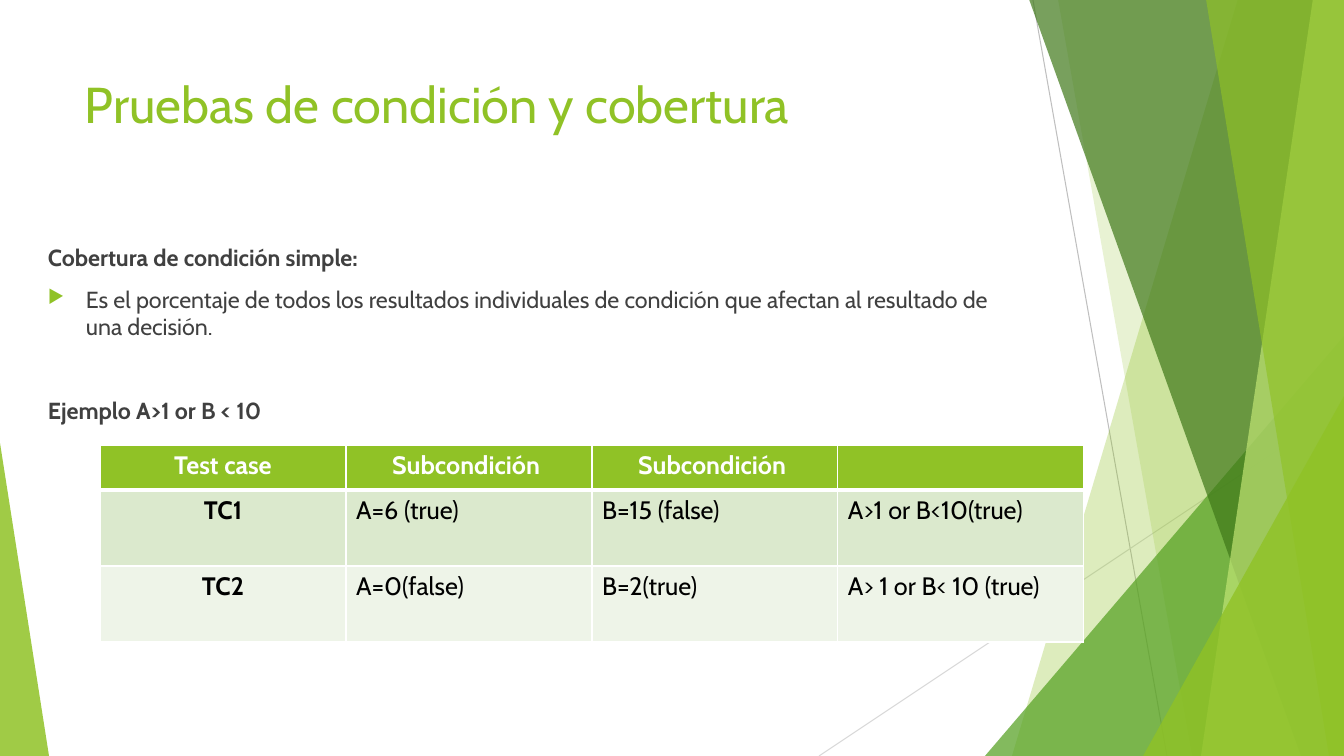
import functools

import pptx
import pptx.dml.color
import pptx.enum.shapes
import pptx.enum.text
import pptx.oxml
import pptx.oxml.ns
import pptx.util

RGB = pptx.dml.color.RGBColor
LIME = RGB(0x90, 0xC2, 0x26)
LEAF = RGB(0x54, 0xA0, 0x21)
PINE = RGB(0x3F, 0x78, 0x19)
PALE = RGB(0xC0, 0xE4, 0x74)
MINT = RGB(0xDB, 0xE9, 0xCD)
MIST = RGB(0xEE, 0xF4, 0xE8)
GRAY = RGB(0xBF, 0xBF, 0xBF)
SILVER = RGB(0xD9, 0xD9, 0xD9)
DARK = RGB(0x40, 0x40, 0x40)
BLACK = RGB(0, 0, 0)
WHITE = RGB(0xFF, 0xFF, 0xFF)

SCALE = 914400 / 100.8
WIDE, HIGH = 1344, 756
FONT = "Cabin"
CENTER = pptx.enum.text.PP_ALIGN.CENTER
LEFT = pptx.enum.text.PP_ALIGN.LEFT
Pt = pptx.util.Pt

ROWS = [
    ["Test case", "Subcondición ", "Subcondición ", ""],
    ["TC1", "A=6 (true)", "B=15 (false)", "A>1 or B<10(true)"],
    ["TC2", "A=0(false)", "B=2(true)", "A> 1 or B< 10 (true)"],
]


def px(*nums):
    return [pptx.util.Emu(round(n * SCALE)) for n in nums]


def put(item, vals):
    """Set each value; a dotted key reaches into nested objects."""
    for key, val in vals.items():
        *steps, last = key.split(".")
        setattr(functools.reduce(getattr, steps, item), last, val)


def xml(text):
    tag, rest = text.split(" ", 1)
    return pptx.oxml.parse_xml(f"{tag} {pptx.oxml.ns.nsdecls('a')} {rest}")


def paint(shape, color, alpha):
    shape.fill.solid()
    put(shape, {"fill.fore_color.rgb": color, "shadow.inherit": False})
    shape.line.fill.background()
    tint = shape.fill._xPr.find(".//" + pptx.oxml.ns.qn("a:srgbClr"))
    tint.append(xml(f'<a:alpha val="{alpha * 1000}"/>'))


def rule(slide, ends, color):
    kind = pptx.enum.shapes.MSO_CONNECTOR.STRAIGHT
    line = slide.shapes.add_connector(kind, *px(*ends))
    put(line.line, {"color.rgb": color, "width": Pt(0.75)})
    line._element.spPr.append(xml("<a:effectLst />"))


def band(slide, top, foot, color, alpha):
    """Fill from a slanted left edge to the right side of the slide."""
    pen = slide.shapes.build_freeform(top, -1, SCALE)
    pen.add_line_segments([(WIDE, -1), (WIDE, HIGH), (foot, HIGH)])
    paint(pen.convert_to_shape(), color, alpha)


def wedge(slide, box, tip, color, alpha):
    kind = pptx.enum.shapes.MSO_SHAPE.ISOSCELES_TRIANGLE
    shape = slide.shapes.add_shape(kind, *px(*box))
    shape.adjustments[0] = tip
    paint(shape, color, alpha)


def write(para, text, size, color, bold=False, **form):
    run = para.add_run()
    put(run, {"text": text, "font.name": FONT, "font.size": Pt(size),
              "font.bold": bold, "font.color.rgb": color})
    put(para, form)


def frame(slide, box):
    text = slide.shapes.add_textbox(*px(*box)).text_frame
    text.word_wrap = True
    return text


def bullet(para):
    props = para._p.get_or_add_pPr()
    (hang,) = px(38)
    props.set("marL", str(hang))
    props.set("indent", str(-hang))
    for part in (f'<a:buClr ><a:srgbClr val="{LIME}"/></a:buClr>',
                 '<a:buSzPct val="80000"/>', '<a:buChar char="▶"/>'):
        props.append(xml(part))


def edge(cell, **sides):
    props = cell._tc.get_or_add_tcPr()
    for side, width in sides.items():
        props.append(xml(
            f'<a:ln{side} w="{Pt(width)}"><a:solidFill><a:srgbClr '
            f'val="{WHITE}"/></a:solidFill></a:ln{side}>'))


def grid(slide):
    shape = slide.shapes.add_table(3, 4, *px(100, 445, 984, 197))
    table = shape.table
    for col in table.columns:
        (col.width,) = px(246)
    for row, high in zip(table.rows, (45, 76, 76)):
        (row.height,) = px(high)
    for r, (words, fill) in enumerate(zip(ROWS, (LIME, MINT, MIST))):
        for c, word in enumerate(words):
            cell = table.cell(r, c)
            edge(cell, L=1, R=1, T=3 if r == 1 else 1, B=3 if r == 0 else 1)
            cell.fill.solid()
            cell.fill.fore_color.rgb = fill
            head = r == 0 or c == 0
            if word:
                write(cell.text_frame.paragraphs[0], word, 18,
                      WHITE if r == 0 else BLACK, head,
                      alignment=CENTER if head else LEFT)


def main():
    deck = pptx.Presentation()
    deck.slide_width, deck.slide_height = px(WIDE, HIGH)
    slide = deck.slides.add_slide(deck.slide_layouts[6])

    # Side decoration
    rule(slide, (1033, 0, 1167, HIGH), GRAY)
    rule(slide, (WIDE, 406, 819, HIGH), SILVER)
    band(slide, 1238, 1012, LIME, 30)
    band(slide, 1058, 1192, LIME, 20)
    wedge(slide, (985, 336, 359, 420), 1, LEAF, 72)
    band(slide, 1029, 1301, PINE, 70)
    band(slide, 1313, 1201, PALE, 70)
    band(slide, 1206, 1329, LIME, 65)
    wedge(slide, (1143, 396, 201, 360), 1, LIME, 80)
    wedge(slide, (0, 443, 49, 313), 0, LIME, 85)

    # Title
    title = frame(slide, (75, 68, 948, 145))
    write(title.paragraphs[0], "Pruebas de condición y cobertura", 36, LIME)

    # Body
    body = frame(slide, (38, 238, 984, 427))
    write(body.paragraphs[0], "Cobertura de condición simple:", 16.6, DARK,
          True, space_before=Pt(10))
    item = body.add_paragraph()
    write(item, "Es el porcentaje de todos los resultados individuales de "
          "condición que afectan al resultado de una decisión.", 16.6, DARK,
          space_before=Pt(10))
    bullet(item)
    write(body.add_paragraph(), "Ejemplo A>1 or B < 10", 16.6, DARK, True,
          space_before=Pt(40))

    # Test cases
    grid(slide)
    deck.save("out.pptx")


main()
